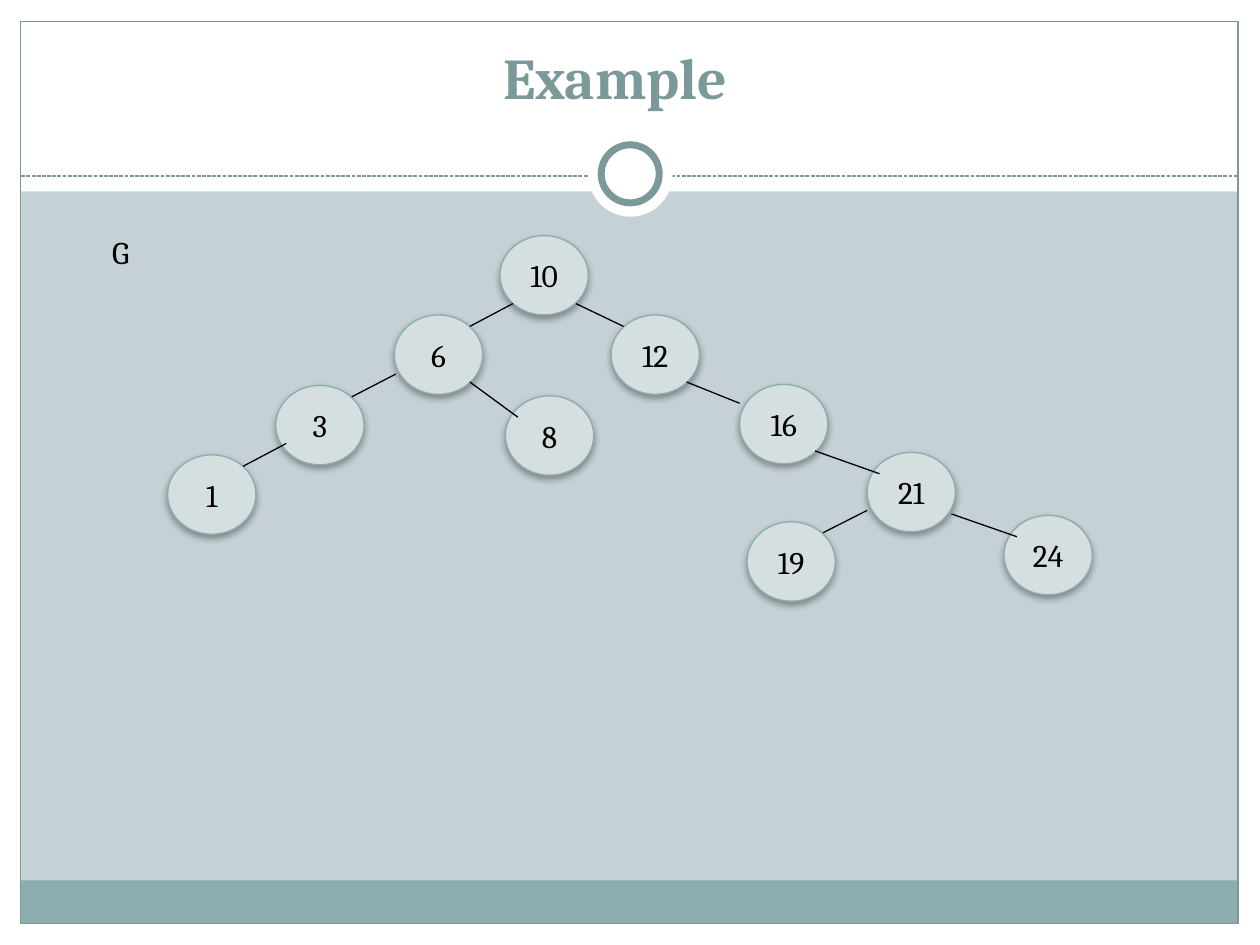
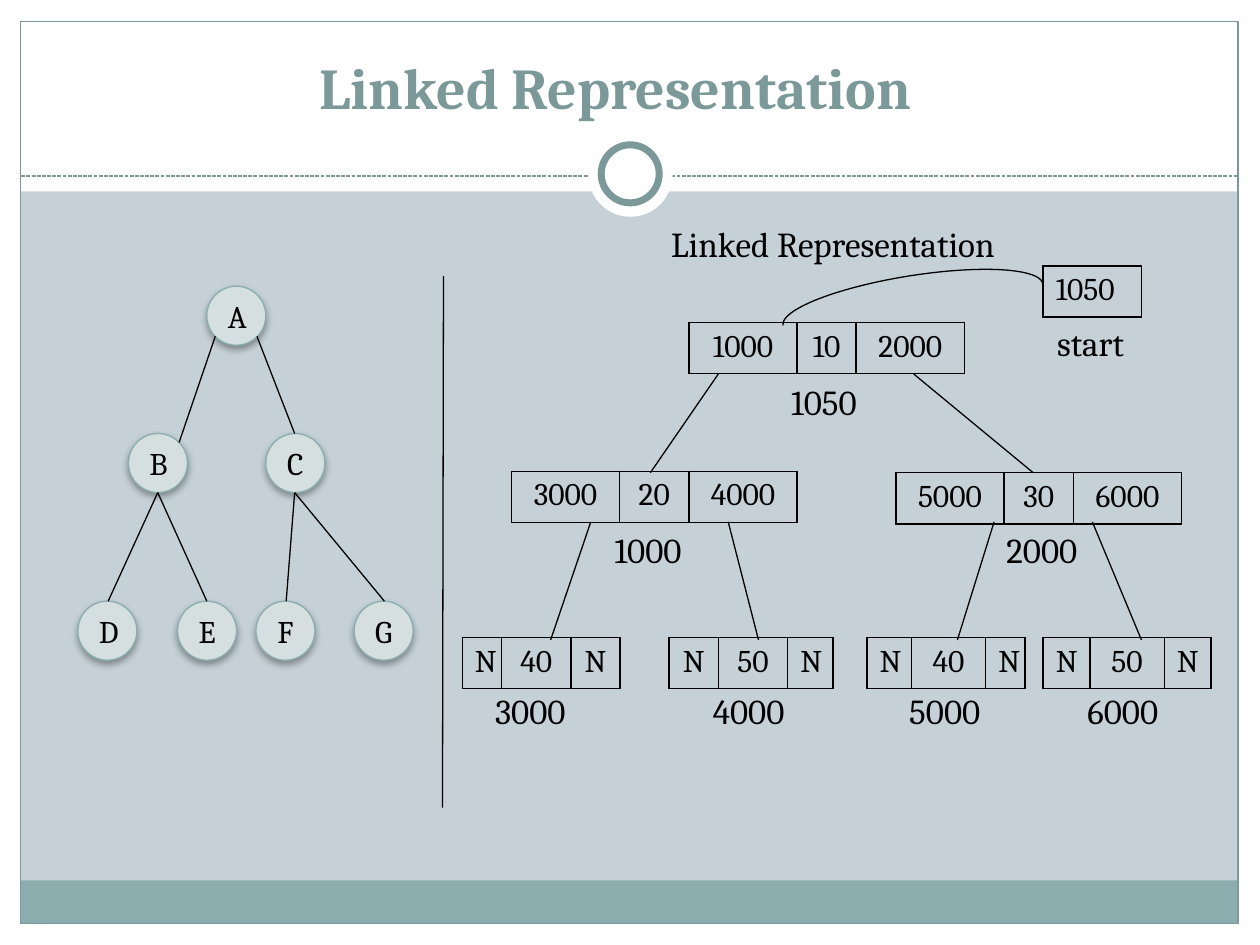
import dataclasses

import lxml.etree
import pptx
import pptx.dml.color
import pptx.enum.dml
import pptx.enum.shapes
import pptx.enum.text
import pptx.oxml.ns
import pptx.util

Cm = pptx.util.Cm
Pt = pptx.util.Pt
qn = pptx.oxml.ns.qn
RGB = pptx.dml.color.RGBColor.from_string
SHAPE = pptx.enum.shapes.MSO_SHAPE
ALIGN = pptx.enum.text.PP_ALIGN
ANCHOR = pptx.enum.text.MSO_ANCHOR


@dataclasses.dataclass(frozen=True)
class Theme:
    font: str = "Cambria"
    background: str = "C5D1D7"
    paper: str = "FFFFFF"
    ink: str = "000000"
    accent: str = "7C999A"
    band: str = "8CADAE"
    node: str = "D5DFDF"
    title_size: int = 33
    caption_size: int = 20
    body_size: int = 18
    thin: float = 0.75
    ring: float = 4


theme = Theme()


def write(frame, text, size=theme.body_size, color=theme.ink, bold=False,
          align=ALIGN.LEFT, anchor=None, wrap=None):
    if anchor is not None:
        frame.vertical_anchor = anchor
    if wrap is not None:
        frame.word_wrap = wrap
    para = frame.paragraphs[0]
    para.alignment = align
    span = para.add_run()
    span.text = text
    span.font.name = theme.font
    span.font.size = Pt(size)
    span.font.bold = bold
    span.font.color.rgb = RGB(color)


def draw_line(page, x1, y1, x2, y2, color=theme.ink):
    line = page.shapes.add_connector(
        pptx.enum.shapes.MSO_CONNECTOR.STRAIGHT, Cm(x1), Cm(y1), Cm(x2), Cm(y2))
    line.line.color.rgb = RGB(color)
    line.line.width = Pt(theme.thin)
    lxml.etree.SubElement(line.element.spPr, qn("a:effectLst"))
    return line


# Trees: title, title top, node size, nodes (text, left, top), branches
trees = [
    ("Example", 0.58, (1.78, 1.6),
     [("10", 10.08, 4.75), ("12", 12.32, 6.35), ("6", 7.95, 6.35),
      ("16", 14.91, 7.75), ("21", 17.48, 9.12), ("3", 5.56, 7.77),
      ("8", 10.19, 7.98), ("1", 3.38, 9.17), ("24", 20.24, 10.39),
      ("19", 15.06, 10.52)],
     [(11.61, 6.12, 12.57, 6.58), (10.34, 6.12, 9.47, 6.58),
      (13.84, 7.7, 14.91, 8.13), (16.43, 9.09, 17.73, 9.55),
      (7.98, 7.54, 7.09, 8), (9.47, 7.7, 10.44, 8.41),
      (5.77, 8.94, 4.9, 9.4), (19.18, 10.36, 20.5, 10.82),
      (17.48, 10.29, 16.59, 10.74)]),
    ("Linked Representation", 0.79, (1.19, 1.19),
     [("A", 4.17, 5.77), ("B", 2.59, 8.74), ("C", 5.36, 8.74),
      ("D", 1.57, 12.12), ("E", 3.58, 12.12), ("F", 5.16, 12.12),
      ("G", 7.14, 12.12)],
     [(4.34, 6.78, 3.61, 8.92), (5.18, 6.78, 5.94, 8.74),
      (3.18, 9.93, 2.18, 12.12), (3.18, 9.93, 4.17, 12.12),
      (5.94, 9.93, 5.77, 12.12), (5.94, 9.93, 7.75, 12.12)]),
]

deck = pptx.Presentation()
deck.slide_width, deck.slide_height = Cm(25.4), Cm(19.05)

# Shared layout
layout = deck.slide_layouts[5]
layout.background.fill.solid()
layout.background.fill.fore_color.rgb = RGB(theme.background)
for placeholder in list(layout.placeholders):
    if placeholder.placeholder_format.idx != 0:
        layout.shapes.element.remove(placeholder.element)

pages = [deck.slides.add_slide(layout) for _ in trees]

# Shared frame: drawn on the first page, then moved to the layout
frame_parts = [
    (SHAPE.RECTANGLE, 0, 18.62, 25.4, 0.43, theme.paper, None),
    (SHAPE.RECTANGLE, 0, 0, 25.4, 3.86, theme.paper, None),
    (SHAPE.RECTANGLE, 0, 0, 0.43, 19.05, theme.paper, None),
    (SHAPE.RECTANGLE, 24.97, 0, 0.43, 19.05, theme.paper, None),
    (SHAPE.RECTANGLE, 0.41, 17.75, 24.54, 0.86, theme.band, None),
    (SHAPE.RECTANGLE, 0.42, 0.43, 24.54, 18.19, None, theme.thin),
    (SHAPE.OVAL, 11.86, 2.67, 1.7, 1.7, theme.paper, None),
    (SHAPE.OVAL, 12.12, 2.92, 1.17, 1.17, theme.paper, theme.ring),
]
frame_shapes = []
for kind, left, top, width, height, fill, weight in frame_parts:
    part = pages[0].shapes.add_shape(kind, Cm(left), Cm(top), Cm(width), Cm(height))
    part.shadow.inherit = False
    if fill:
        part.fill.solid()
        part.fill.fore_color.rgb = RGB(fill)
    else:
        part.fill.background()
    if weight:
        part.line.color.rgb = RGB(theme.accent)
        part.line.width = Pt(weight)
    else:
        part.line.fill.background()
    frame_shapes.append(part)
rule = draw_line(pages[0], 0.43, 3.55, 24.97, 3.55, theme.accent)
rule.line.dash_style = pptx.enum.dml.MSO_LINE.SQUARE_DOT
frame_shapes.insert(-2, rule)  # below the two rings
for part in frame_shapes:
    layout.shapes.element.append(part.element)

# Titles and trees
for page, (heading, title_top, size, nodes, branches) in zip(pages, trees):
    title = page.shapes.title
    title.left, title.top = Cm(4.57), Cm(title_top)
    title.width, title.height = Cm(15.67), Cm(1.78)
    title.text_frame.auto_size = pptx.enum.text.MSO_AUTO_SIZE.NONE
    write(title.text_frame, heading, size=theme.title_size, color=theme.accent,
          bold=True, align=ALIGN.CENTER, anchor=ANCHOR.BOTTOM)

    for text, left, top in nodes:
        node = page.shapes.add_shape(SHAPE.OVAL, Cm(left), Cm(top), *map(Cm, size))
        node.fill.solid()
        node.fill.fore_color.rgb = RGB(theme.node)
        node.line.color.rgb = RGB(theme.band)
        node.line.width = Pt(theme.thin)
        node.shadow.inherit = False
        shadow = lxml.etree.SubElement(
            node.element.spPr.find(qn("a:effectLst")), qn("a:outerShdw"),
            blurRad=str(Pt(4)), dist=str(Pt(2)), dir="5400000", rotWithShape="0")
        shade = lxml.etree.SubElement(shadow, qn("a:srgbClr"), val=theme.ink)
        lxml.etree.SubElement(shade, qn("a:alpha"), val="35000")
        write(node.text_frame, text, align=ALIGN.CENTER, anchor=ANCHOR.MIDDLE)

    for branch in branches:
        draw_line(page, *branch)

tree_page, linked_page = pages

label = tree_page.shapes.add_textbox(Cm(2.01), Cm(4.57), Cm(0.97), Cm(1.02))
write(label.text_frame, "G", wrap=False)

# Linked records: left, top, column widths, cell texts
records = [
    (13.89, 6.5, (2.18, 1.19, 2.18), ("1000", "10", "2000")),
    (10.31, 9.5, (2.18, 1.4, 2.18), ("3000", "20", "4000")),
    (18.06, 9.53, (2.18, 1.4, 2.18), ("5000", "30", "6000")),
    (9.32, 12.85, (0.79, 1.4, 0.99), ("N", "40", "N")),
    (13.49, 12.85, (0.99, 1.4, 0.91), ("N", "50", "N")),
    (17.48, 12.85, (0.89, 1.5, 0.79), ("N", "40", "N")),
    (21.03, 12.85, (0.94, 1.5, 0.94), ("N", "50", "N")),
    (21.03, 5.36, (1.98,), ("1050",)),
]
for left, top, widths, texts in records:
    table = linked_page.shapes.add_table(
        1, len(texts), Cm(left), Cm(top), Cm(sum(widths)), Cm(1.03)).table
    table.first_row = table.horz_banding = False
    for column, width, cell, text in zip(table.columns, widths, table.iter_cells(), texts):
        column.width = Cm(width)
        write(cell.text_frame, text,
              align=ALIGN.CENTER if len(texts) > 1 else ALIGN.LEFT)
        cell_format = cell._tc.get_or_add_tcPr()
        for side in ("lnL", "lnR", "lnT", "lnB"):
            border = lxml.etree.SubElement(cell_format, qn(f"a:{side}"), w=str(Pt(1)))
            paint = lxml.etree.SubElement(border, qn("a:solidFill"))
            lxml.etree.SubElement(paint, qn("a:srgbClr"), val=theme.ink)
        cell.fill.background()

captions = [
    ("Linked Representation", 13.28, 4.37, 7.75),
    ("1050", 15.7, 7.54, 2.36),
    ("1000", 12.14, 10.52, 2.36),
    ("2000", 20.04, 10.52, 2.36),
    ("3000", 9.73, 13.77, 2.36),
    ("4000", 14.12, 13.77, 2.36),
    ("5000", 18.08, 13.77, 2.36),
    ("6000", 21.67, 13.77, 2.36),
    ("start", 21.06, 6.35, 2.36),
]
for text, left, top, width in captions:
    box = linked_page.shapes.add_textbox(Cm(left), Cm(top), Cm(width), Cm(1.12))
    write(box.text_frame, text, size=theme.caption_size, wrap=True)

divider = (8.94, 5.56, 8.92, 16.28)
record_links = [
    (14.48, 7.54, 13.11, 9.53), (18.42, 7.54, 20.83, 9.53),
    (11.91, 10.52, 11.1, 12.9), (14.68, 10.52, 15.29, 12.9),
    (20.04, 10.52, 19.3, 12.9), (22.02, 10.52, 23.01, 12.9),
]
for ends in [divider, *record_links]:
    draw_line(linked_page, *ends)

# Upper half of an ellipse, from the root record to the start pointer
start_link = linked_page.shapes.add_shape(
    SHAPE.ARC, Cm(15.75), Cm(5.56), Cm(5.31), Cm(1.17))
start_link.adjustments[0] = 108.04  # 180 degrees; one degree is 0.6
start_link.adjustments[1] = 0
start_link.rotation = -9.1
start_link.shadow.inherit = False
start_link.fill.background()
start_link.line.color.rgb = RGB(theme.ink)
start_link.line.width = Pt(theme.thin)

deck.save("out.pptx")
